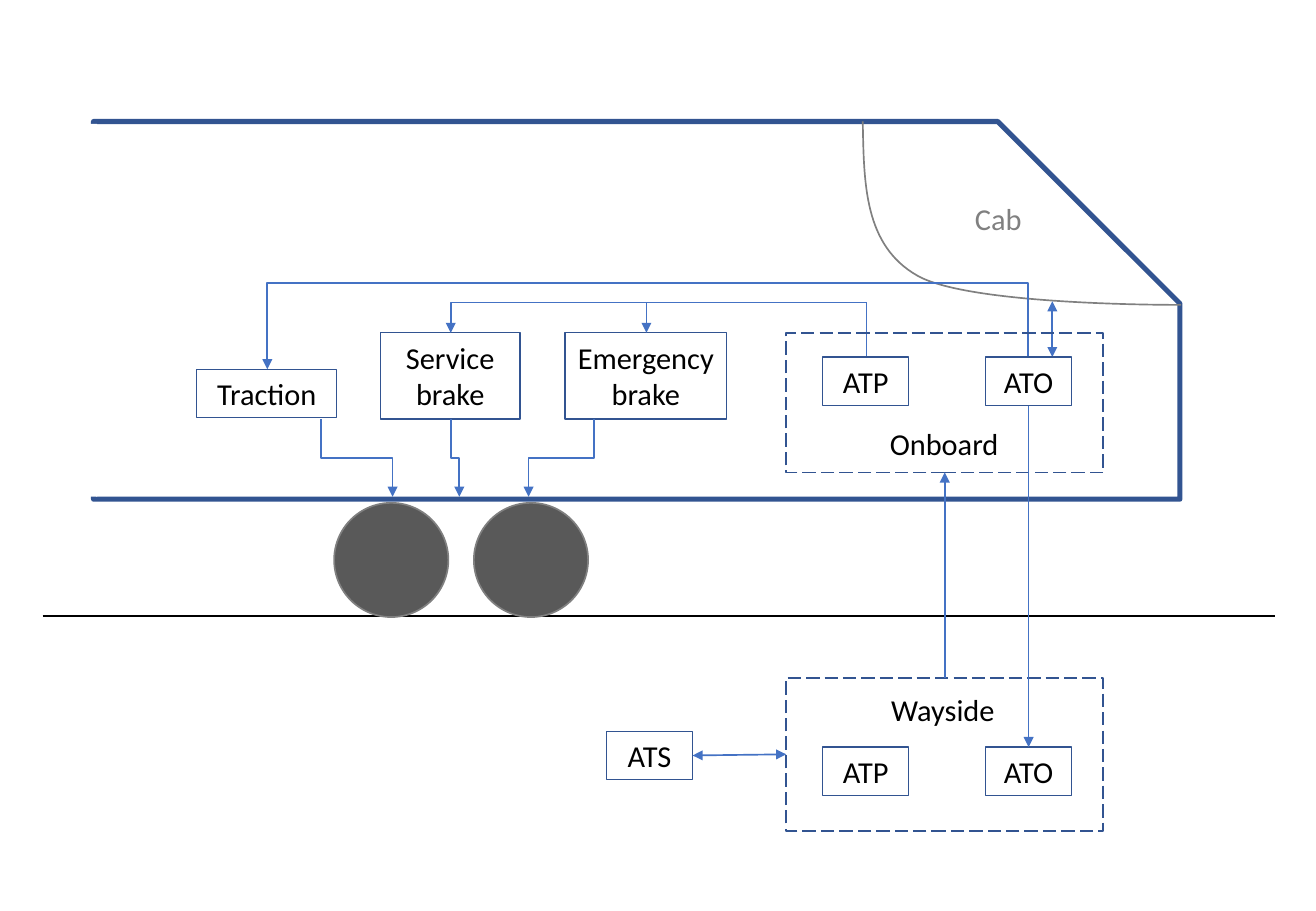
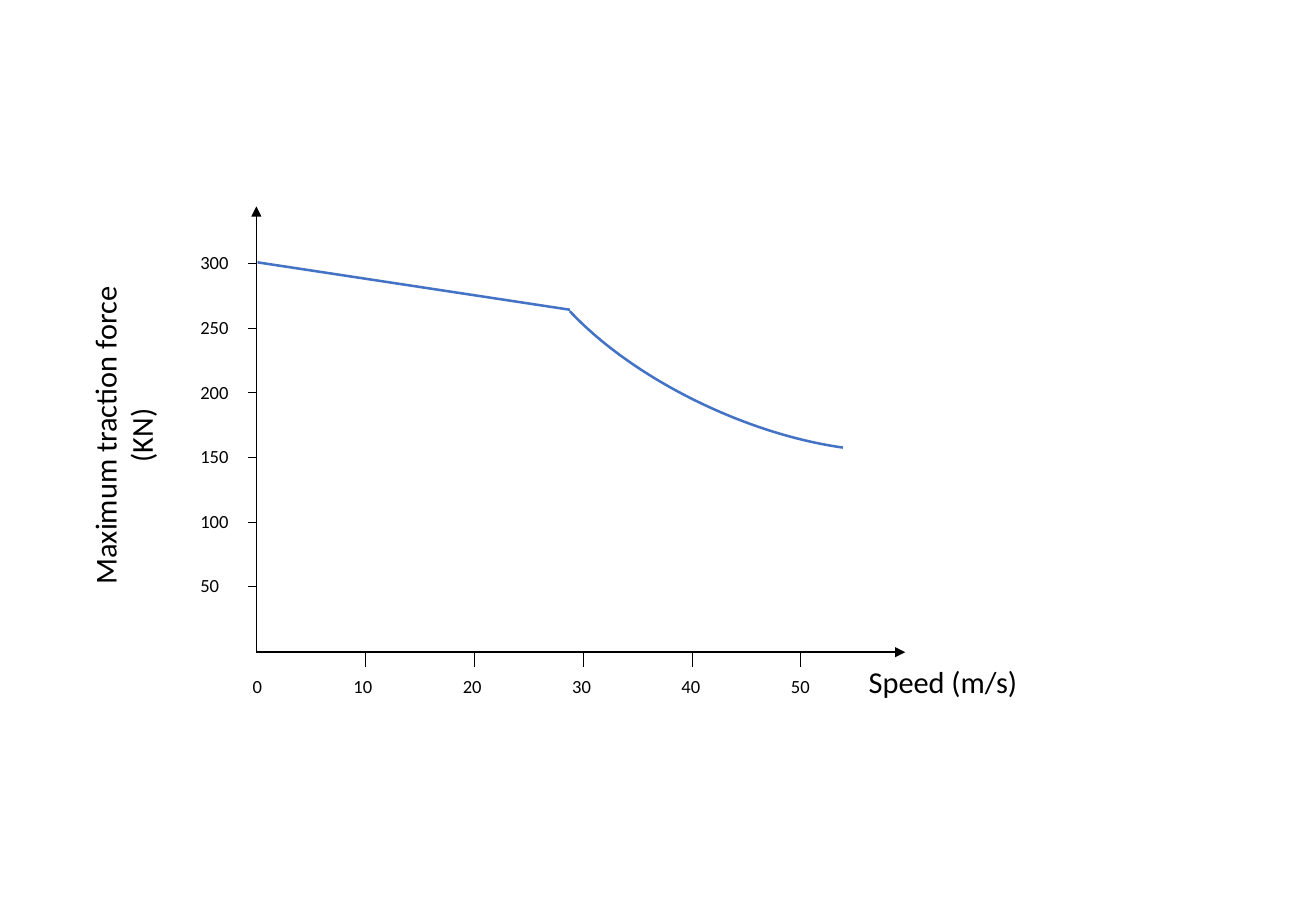
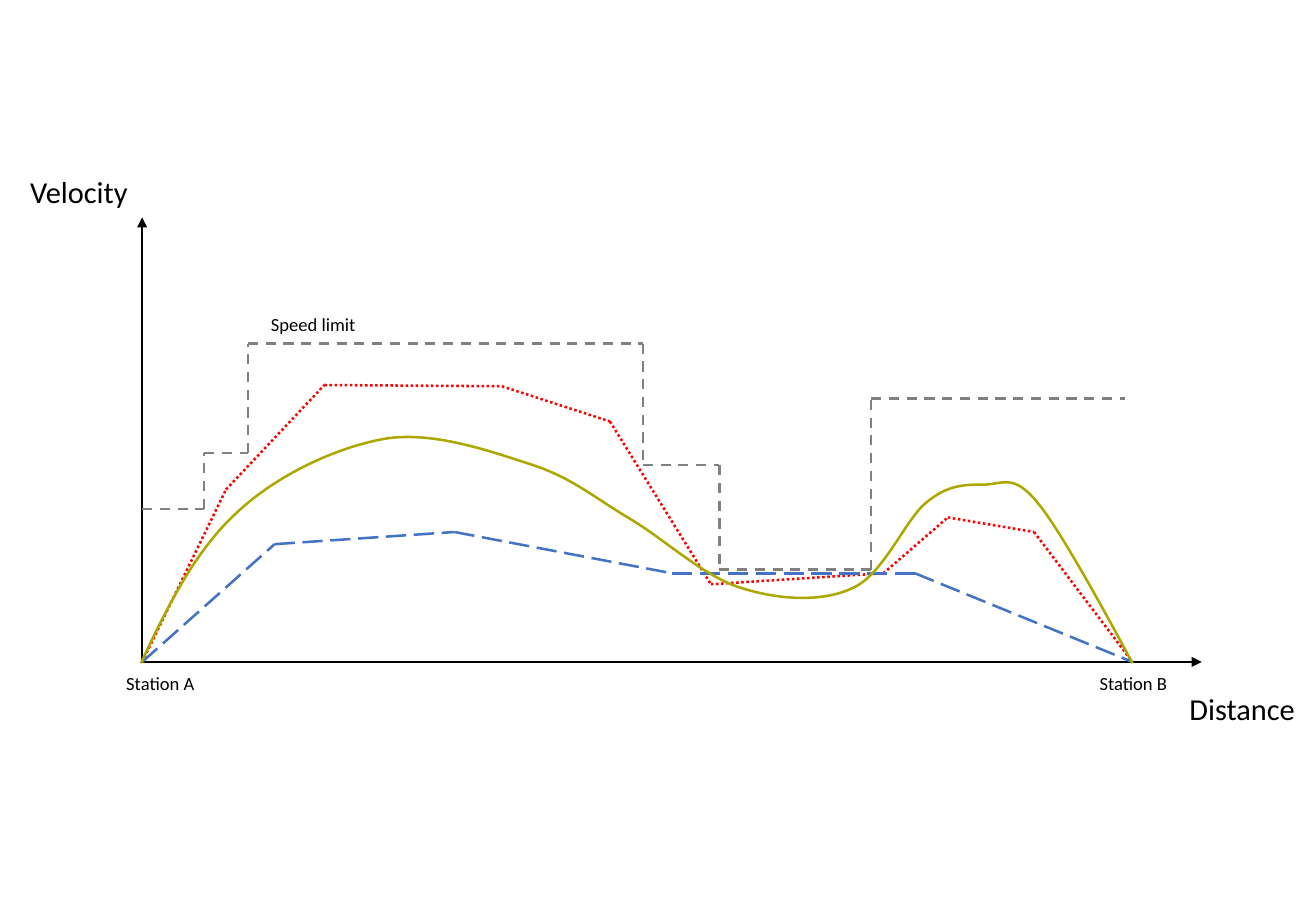
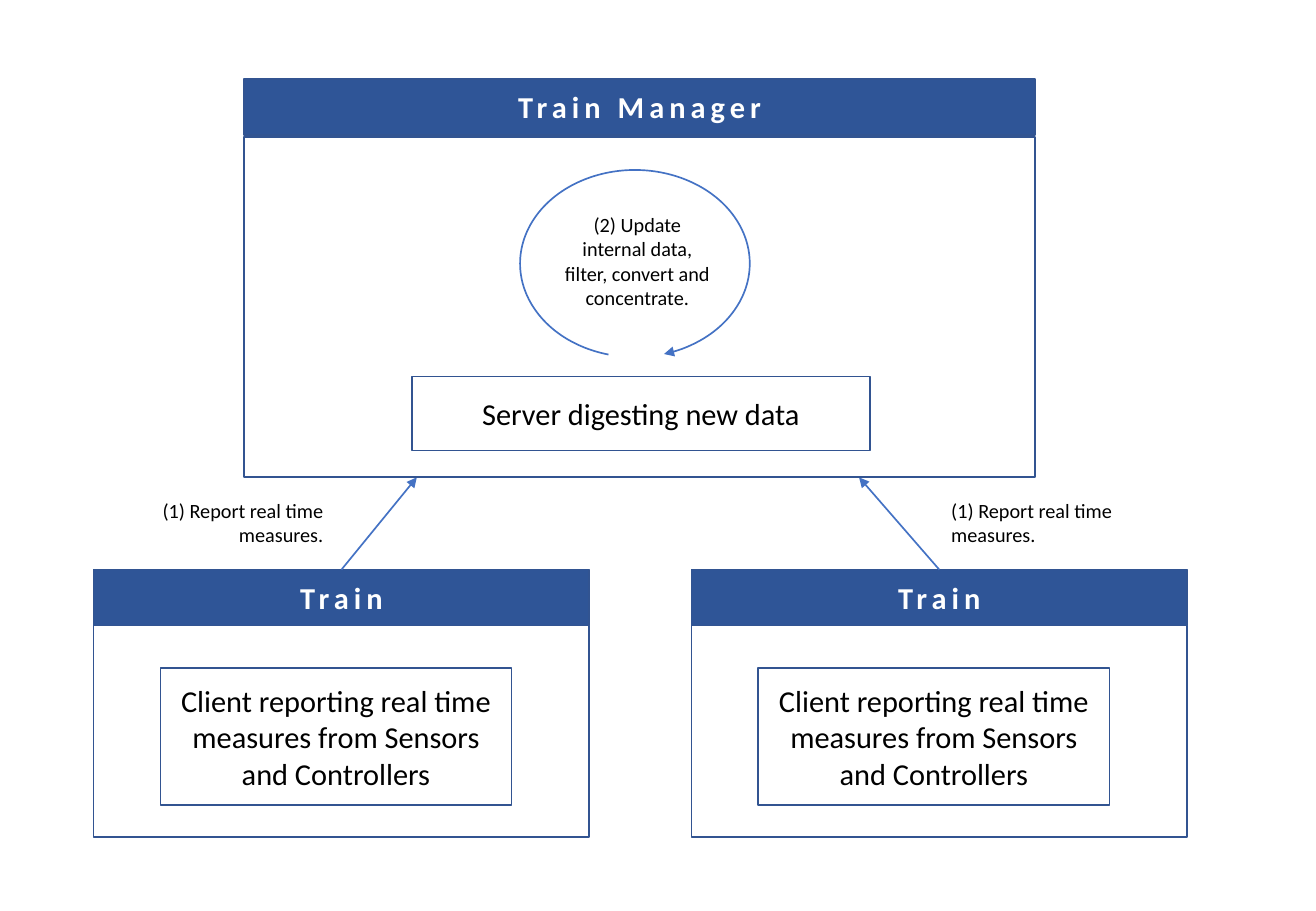
from dataclasses import dataclass
from itertools import pairwise

from lxml.etree import SubElement
from pptx import Presentation
from pptx.dml.color import RGBColor
from pptx.enum.dml import MSO_LINE as Dash
from pptx.enum.shapes import MSO_CONNECTOR as Link, MSO_SHAPE as Preset
from pptx.enum.text import MSO_ANCHOR as Anchor, MSO_AUTO_SIZE as AutoSize, PP_ALIGN as Align
from pptx.oxml.ns import qn
from pptx.util import Inches, Pt


@dataclass(frozen=True)
class Theme:
    font: str = "Calibri"
    text: str = "000000"
    white: str = "FFFFFF"
    frame: str = "325491"
    header: str = "2F5597"
    accent: str = "4472C4"
    grey: str = "808080"
    wheel: str = "595959"
    red: str = "FF0000"
    olive: str = "ACA800"
    body_size: float = 18
    note_size: float = 12
    tick_size: float = 11
    spacing: int = 300
    hair: float = 0.5
    thin: float = 0.75
    normal: float = 1
    strong: float = 1.5
    hull: float = 3


THEME = Theme()
BOTH, END = ("headEnd", "tailEnd"), ("tailEnd",)


def paint_line(line, color, width, dash=None, arrows=()):
    line.color.rgb = RGBColor.from_string(color)
    line.width = Pt(width)
    if dash is not None:
        line.dash_style = dash
    for arrow in arrows:
        SubElement(line._get_or_add_ln(), qn(f"a:{arrow}"), type="triangle")


def write(shape, text, size, color=THEME.text, align=Align.LEFT, bold=False,
          grow=True, spacing=None):
    frame = shape.text_frame
    frame.word_wrap = True
    frame.auto_size = AutoSize.SHAPE_TO_FIT_TEXT if grow else AutoSize.NONE
    frame.vertical_anchor = Anchor.TOP if grow else Anchor.MIDDLE
    for index, words in enumerate(text.split("\n")):
        paragraph = frame.add_paragraph() if index else frame.paragraphs[0]
        paragraph.alignment = align
        run = paragraph.add_run()
        run.text = words
        run.font.name = THEME.font
        run.font.size = Pt(size)
        run.font.bold = bold
        run.font.color.rgb = RGBColor.from_string(color)
        if spacing:
            run._r.get_or_add_rPr().set("spc", str(spacing))


@dataclass(frozen=True)
class Region:
    """Area of a slide; every position is counted from its left top corner."""
    slide: object
    left: float = 0
    top: float = 0

    def inner(self, dx, dy):
        return Region(self.slide, self.left + dx, self.top + dy)

    def point(self, x, y):
        return Inches(self.left + x), Inches(self.top + y)

    def shape(self, x, y, w, h, preset=Preset.RECTANGLE, fill=None, line=None,
              width=THEME.normal, dash=None, arrows=()):
        shape = self.slide.shapes.add_shape(preset, *self.point(x, y), Inches(w), Inches(h))
        shape.shadow.inherit = False
        if fill:
            shape.fill.solid()
            shape.fill.fore_color.rgb = RGBColor.from_string(fill)
        else:
            shape.fill.background()
        if line:
            paint_line(shape.line, line, width, dash, arrows)
        else:
            shape.line.fill.background()
        return shape

    def label(self, x, y, w, h, text, size=THEME.body_size, **style):
        label = self.slide.shapes.add_textbox(*self.point(x, y), Inches(w), Inches(h))
        write(label, text, size, **style)
        return label

    def unit(self, x, y, w, h, text):
        unit = self.shape(x, y, w, h, line=THEME.frame, width=THEME.thin)
        write(unit, text, THEME.body_size, align=Align.CENTER)
        return unit

    def connector(self, kind, start, end, color, width, dash, arrows):
        link = self.slide.shapes.add_connector(kind, *self.point(*start), *self.point(*end))
        paint_line(link.line, color, width, dash, arrows)
        SubElement(link._element.spPr, qn("a:effectLst"))
        return link

    def line(self, start, end, color=THEME.accent, width=THEME.normal, dash=None, arrows=()):
        return self.connector(Link.STRAIGHT, start, end, color, width, dash, arrows)

    def join(self, source, source_side, target, target_side, arrows=END):
        link = self.line((0, 0), (1, 1), arrows=arrows)
        link.begin_connect(source, source_side)
        link.end_connect(target, target_side)

    def elbow(self, start, end, turn_y):
        """Vertical, horizontal, vertical arrow that turns at turn_y."""
        (x1, y1), (x2, y2) = start, end
        w, h = abs(y2 - y1), abs(x2 - x1)
        left, top = (x1 + x2 - w) / 2, (y1 + y2 - h) / 2
        link = self.connector(Link.ELBOW, (left, top), (left + w, top + h),
                              THEME.accent, THEME.normal, None, END)
        xfrm = link._element.spPr.find(qn("a:xfrm"))
        xfrm.set("rot", "5400000")
        if y2 < y1:
            xfrm.set("flipH", "1")
        if x2 > x1:
            xfrm.set("flipV", "1")
        geometry = link._element.spPr.find(qn("a:prstGeom"))
        guides = geometry.find(qn("a:avLst"))
        if guides is None:
            guides = SubElement(geometry, qn("a:avLst"))
        turn = round((turn_y - y1) / (y2 - y1) * 100000)
        SubElement(guides, qn("a:gd"), name="adj1", fmla=f"val {turn}")

    def polyline(self, points, **style):
        for start, end in pairwise(points):
            self.line(start, end, **style)

    def curve(self, points, color, width):
        """Bézier curve: a start, then two handles and an end for each piece."""
        start, *rest = [self.point(*point) for point in points]
        builder = self.slide.shapes.build_freeform(*start, scale=1.0)
        builder.add_line_segments(rest, close=False)
        shape = builder.convert_to_shape()
        shape.shadow.inherit = False
        shape.fill.background()
        paint_line(shape.line, color, width)
        outline = next(shape._element.iter(qn("a:path")))
        steps = outline.findall(qn("a:lnTo"))
        for first in range(0, len(steps), 3):
            piece = SubElement(outline, qn("a:cubicBezTo"))
            for step in steps[first:first + 3]:
                piece.append(step[0])
                outline.remove(step)


def control_zone(zone, height, name, name_at, unit_top):
    atp, ato = (zone.unit(x, unit_top, 0.71, 0.4, text)
                for x, text in ((0.3, "ATP"), (1.64, "ATO")))
    frame = zone.shape(0, 0, 2.61, height, line=THEME.frame, dash=Dash.LONG_DASH)
    zone.label(*name_at, 1.4, 0.4, name, align=Align.CENTER)
    return frame, ato


def train_car(car):
    hull = car.shape(0, 0, 8.94, 3.11, Preset.SNIP_1_RECTANGLE,
                     line=THEME.frame, width=THEME.hull)
    hull.adjustments[0] = 0.482
    for wheel_left in (3.13, 1.98):
        car.shape(wheel_left, 3.14, 0.94, 0.94, Preset.OVAL, THEME.wheel, THEME.grey)
    car.curve([(6.33, 0), (6.34, 0.51), (6.34, 1.02), (6.78, 1.27),
               (7.22, 1.52), (8.95, 1.51), (8.95, 1.51)], THEME.grey, THEME.normal)
    car.label(6.91, 0.6, 1.07, 0.4, "Cab", color=THEME.grey, align=Align.CENTER)
    for x, y, w, h, name in ((0.85, 2.04, 1.15, 0.4, "Traction"),
                             (2.36, 1.74, 1.15, 0.71, "Service brake"),
                             (3.88, 1.74, 1.33, 0.71, "Emergency brake")):
        car.unit(x, y, w, h, name)
    for from_x, to_x in ((4.12, 3.58), (2.94, 3.01), (1.87, 2.46)):
        car.elbow((from_x, 2.45), (to_x, 3.09), 2.77)
    car.elbow((7.69, 1.94), (1.43, 2.04), 1.33)
    for brake_x in (4.55, 2.94):
        car.elbow((6.36, 1.94), (brake_x, 1.74), 1.49)
    car.line((7.89, 1.48), (7.89, 1.94), arrows=BOTH)
    car.shape(-0.07, 0.02, 0.1, 3.07, fill=THEME.white)


def architecture_slide(page):
    page.line((0.35, 5.07), (10.49, 5.07), THEME.text, THEME.strong)
    train_car(page.inner(0.77, 1))
    onboard, onboard_ato = control_zone(page.inner(6.47, 2.74), 1.15, "Onboard", (0.6, 0.71), 0.2)
    wayside, wayside_ato = control_zone(page.inner(6.47, 5.58), 1.26, "Wayside", (0.59, 0.06), 0.57)
    ats = page.unit(4.99, 6.02, 0.71, 0.4, "ATS")
    page.join(wayside, 0, onboard, 2)
    page.join(onboard_ato, 2, wayside_ato, 0)
    page.join(wayside, 1, ats, 3, BOTH)


def axes(origin, width, height):
    for end in ((0, -height), (width, 0)):
        origin.line((0, 0), end, THEME.text, arrows=END)


def traction_slide(page):
    plot = page.inner(2.11, 5.37)
    axes(plot, 5.34, 3.67)
    plot.label(4.94, 0.04, 1.55, 0.4, "Speed (m/s)")
    force = plot.label(-2.51, -2.14, 2.83, 0.71, "Maximum traction force\n(KN)",
                       align=Align.CENTER)
    force.rotation = 270

    plot.line((0.01, -3.21), (2.58, -2.82), width=THEME.strong)
    falloff = plot.shape(2.05, -3.89, 4.21, 1.97, Preset.ARC,
                         line=THEME.accent, width=THEME.strong)
    falloff.rotation = 24.3
    falloff.adjustments[0], falloff.adjustments[1] = 22.13, 91.31

    plot.label(-0.13, 0.14, 0.41, 0.29, "0", THEME.tick_size)
    for index in range(5):
        x = 0.9 + index * 3.58 / 4
        plot.line((x, -0.01), (x, 0.12), THEME.text, THEME.hair)
        plot.label(0.7 + 0.9 * index, 0.14, 0.41, 0.29, str(10 * (index + 1)), THEME.tick_size)
    for index in range(6):
        y = -3.2 + index * 2.66 / 5
        plot.line((-0.13, y), (0, y), THEME.text, THEME.hair)
        value = plot.shape(-0.56, y - 0.15, 0.49, 0.29, fill=THEME.white)
        write(value, str(300 - 50 * index), THEME.tick_size)


SPEED_LIMIT = [(0, 1.26), (0.51, 1.26), (0.51, 1.72), (0.87, 1.72), (0.87, 2.62), (4.12, 2.62),
               (4.12, 1.62), (4.75, 1.62), (4.75, 0.76), (6, 0.76), (6, 2.17), (8.09, 2.17)]
FAST_RUN = [(0, 0), (0.69, 1.42), (1.5, 2.28), (2.96, 2.27), (3.85, 1.98), (4.68, 0.64),
            (6.1, 0.73), (6.63, 1.19), (7.34, 1.07), (8.15, 0)]
SLOW_RUN = [(0, 0), (1.09, 0.97), (2.57, 1.07), (4.36, 0.73), (6.36, 0.73), (8.15, 0)]
SMOOTH_RUN = [(-0.01, -0.01), (0.21, 0.46), (0.44, 0.92), (0.78, 1.23),
              (1.11, 1.54), (1.6, 1.77), (2.01, 1.84), (2.41, 1.9), (2.88, 1.73), (3.22, 1.62),
              (3.55, 1.51), (3.74, 1.34), (4.03, 1.17), (4.31, 1), (4.63, 0.7), (4.93, 0.61),
              (5.24, 0.51), (5.6, 0.49), (5.85, 0.61), (6.1, 0.72), (6.28, 1.17), (6.45, 1.31),
              (6.63, 1.46), (6.77, 1.46), (6.92, 1.46), (7.08, 1.46), (7.17, 1.56), (7.37, 1.31),
              (7.58, 1.07), (8.15, -0.01), (8.15, -0.01)]


def upward(points):
    return [(x, -y) for x, y in points]


def velocity_slide(page):
    plot = page.inner(1.17, 5.45)
    axes(plot, 8.72, 3.66)
    plot.label(8.52, 0.18, 1.14, 0.4, "Distance")
    plot.label(-1.02, -4.07, 1.14, 0.4, "Velocity")
    for x, y, w, text in ((0.96, -2.92, 0.99, "Speed limit"),
                          (-0.23, 0.03, 0.79, "Station A"),
                          (7.78, 0.03, 0.79, "Station B")):
        plot.label(x, y, w, 0.29, text, THEME.tick_size)
    for points, color, dash in ((SPEED_LIMIT, THEME.grey, Dash.DASH),
                                (FAST_RUN, THEME.red, Dash.ROUND_DOT),
                                (SLOW_RUN, THEME.accent, Dash.LONG_DASH)):
        plot.polyline(upward(points), color=color, width=THEME.strong, dash=dash)
    plot.curve(upward(SMOOTH_RUN), THEME.olive, THEME.strong)


def panel(region, width, height, title, body_top, task, task_box):
    region.shape(0, body_top, width, height, line=THEME.frame)
    header = region.shape(0, 0, width, 0.46, fill=THEME.header, line=THEME.frame)
    write(header, title, THEME.body_size, THEME.white, Align.CENTER, bold=True,
          grow=False, spacing=THEME.spacing)
    task_frame = region.shape(*task_box, line=THEME.frame)
    write(task_frame, task, THEME.body_size, align=Align.CENTER, grow=False)
    return header


def manager(region):
    panel(region, 6.51, 2.8, "Train Manager", 0.48,
          "Server digesting new data", (1.38, 2.45, 3.77, 0.61))
    cycle = region.shape(2.27, 0.75, 1.89, 1.54, Preset.ARC, line=THEME.accent, arrows=END)
    cycle.adjustments[0], cycle.adjustments[1] = 63.71, 43.3
    region.label(2.54, 1.05, 1.39, 0.91,
                 "(2) Update internal data, filter, convert and concentrate.",
                 THEME.note_size, align=Align.CENTER)


def train(region, arrow_x, note_x, note_align):
    header = panel(region, 4.08, 1.74, "Train", 0.46,
                   "Client reporting real time measures from Sensors and Controllers",
                   (0.55, 0.81, 2.89, 1.13))
    report = region.line((2.04, 0), (arrow_x, -0.76), arrows=END)
    report.begin_connect(header, 0)
    region.label(note_x, -0.64, 1.53, 0.5, "(1) Report real time measures.",
                 THEME.note_size, align=note_align)


def reporting_slide(page):
    train(page.inner(0.77, 4.69), 2.66, 0.46, Align.RIGHT)
    train(page.inner(5.69, 4.69), 1.38, 2.04, Align.LEFT)
    manager(page.inner(2.01, 0.65))


def main():
    deck = Presentation()
    deck.slide_width, deck.slide_height = Inches(10.83), Inches(7.5)
    blank = deck.slide_layouts.get_by_name("Blank")
    for build in (architecture_slide, traction_slide, velocity_slide, reporting_slide):
        build(Region(deck.slides.add_slide(blank)))
    deck.save("out.pptx")


if __name__ == "__main__":
    main()
